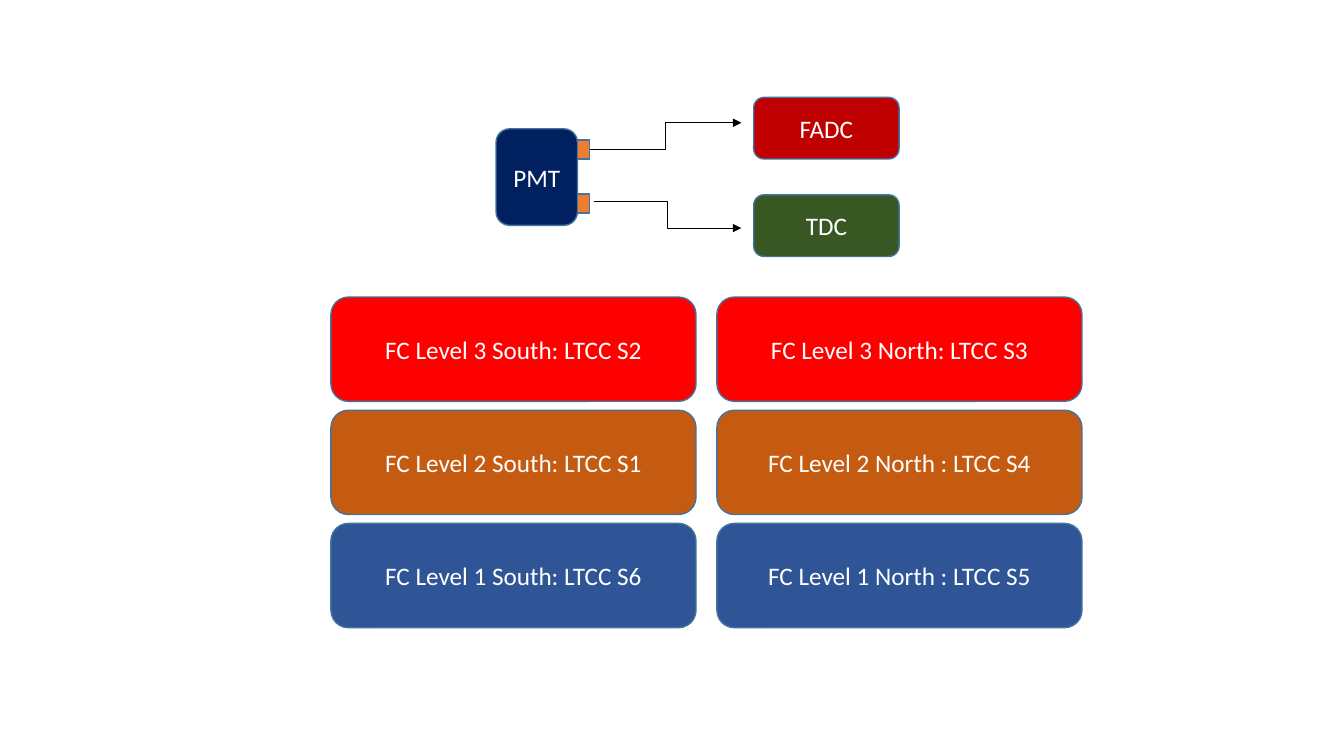
from pptx import Presentation
from pptx.dml.color import RGBColor
from pptx.enum.shapes import MSO_CONNECTOR, MSO_SHAPE
from pptx.enum.text import MSO_ANCHOR, PP_ALIGN
from pptx.oxml.ns import qn
from pptx.util import Pt
from lxml import etree

ROUNDED, RECTANGLE = MSO_SHAPE.ROUNDED_RECTANGLE, MSO_SHAPE.RECTANGLE
ELBOW = MSO_CONNECTOR.ELBOW
MIDDLE, CENTER = MSO_ANCHOR.MIDDLE, PP_ALIGN.CENTER

THEME = {
    "font": "Calibri", "size": 18, "text": "FFFFFF",
    "outline": "43739E", "outline_width": 1,
    "wire": "000000", "wire_width": 0.5,
    "pmt": "002060", "port": "ED7D31", "fadc": "C00000", "tdc": "385723",
    "level 3": "FF0000", "level 2": "C55A11", "level 1": "2F5597",
}

# Content: crate levels from top to bottom, south then north
LEVELS = [
    ("level 3", "FC Level 3 South: LTCC S2", "FC Level 3 North: LTCC S3"),
    ("level 2", "FC Level 2 South: LTCC S1", "FC Level 2 North : LTCC S4"),
    ("level 1", "FC Level 1 South: LTCC S6", "FC Level 1 North : LTCC S5"),
]
# Readout: label, colour, box top, port top, wire start, wire end
READOUTS = [
    ("FADC", "fadc", 69.6, 99.9, (421.4, 106.6), (529.5, 87.7)),
    ("TDC", "tdc", 139.2, 138.5, (424.2, 143.8), (529.5, 162.9)),
]

# Layout
PMT_BOX = (354.3, 92, 58.2, 69)
PORT_LEFT, PORT_WIDTH, PORT_HEIGHT = 412.5, 8.7, 13.8
READOUT_LEFT, READOUT_WIDTH, READOUT_HEIGHT = 538.4, 103.8, 44
LEVEL_LEFT, LEVEL_TOP, LEVEL_WIDTH, LEVEL_HEIGHT = 236.4, 212.2, 260.8, 74.5
COLUMN_GAP, ROW_GAP = 14.9, 6.35


def color(name):
    return RGBColor.from_string(THEME[name])


def add_box(slide, kind, box, fill, label=None):
    shape = slide.shapes.add_shape(kind, *map(Pt, box))
    shape.shadow.inherit = False
    shape.fill.solid()
    shape.fill.fore_color.rgb = color(fill)
    shape.line.color.rgb = color("outline")
    shape.line.width = Pt(THEME["outline_width"])
    if label:
        frame = shape.text_frame
        frame.word_wrap = True
        frame.vertical_anchor = MIDDLE
        paragraph = frame.paragraphs[0]
        paragraph.alignment = CENTER
        run = paragraph.add_run()
        run.text = label
        run.font.name = THEME["font"]
        run.font.size = Pt(THEME["size"])
        run.font.color.rgb = color("text")


def add_wire(slide, start, end):
    wire = slide.shapes.add_connector(ELBOW, *map(Pt, start + end))
    wire.line.color.rgb = color("wire")
    wire.line.width = Pt(THEME["wire_width"])
    etree.SubElement(wire.line._get_or_add_ln(), qn("a:tailEnd"), type="triangle")
    etree.SubElement(wire._element.spPr, qn("a:effectLst"))


presentation = Presentation()
presentation.slide_width, presentation.slide_height = Pt(960), Pt(540)
slide = presentation.slides.add_slide(presentation.slide_layouts[6])

# Photomultiplier with its two ports and readouts
add_box(slide, ROUNDED, PMT_BOX, "pmt", "PMT")
for label, fill, top, port_top, start, end in READOUTS:
    add_box(slide, RECTANGLE, (PORT_LEFT, port_top, PORT_WIDTH, PORT_HEIGHT), "port")
    add_box(slide, ROUNDED, (READOUT_LEFT, top, READOUT_WIDTH, READOUT_HEIGHT), fill, label)
    add_wire(slide, start, end)

# Grid of crate levels
for row, (fill, *labels) in enumerate(LEVELS):
    top = LEVEL_TOP + row * (LEVEL_HEIGHT + ROW_GAP)
    for column, label in enumerate(labels):
        left = LEVEL_LEFT + column * (LEVEL_WIDTH + COLUMN_GAP)
        add_box(slide, ROUNDED, (left, top, LEVEL_WIDTH, LEVEL_HEIGHT), fill, label)

presentation.save("out.pptx")
